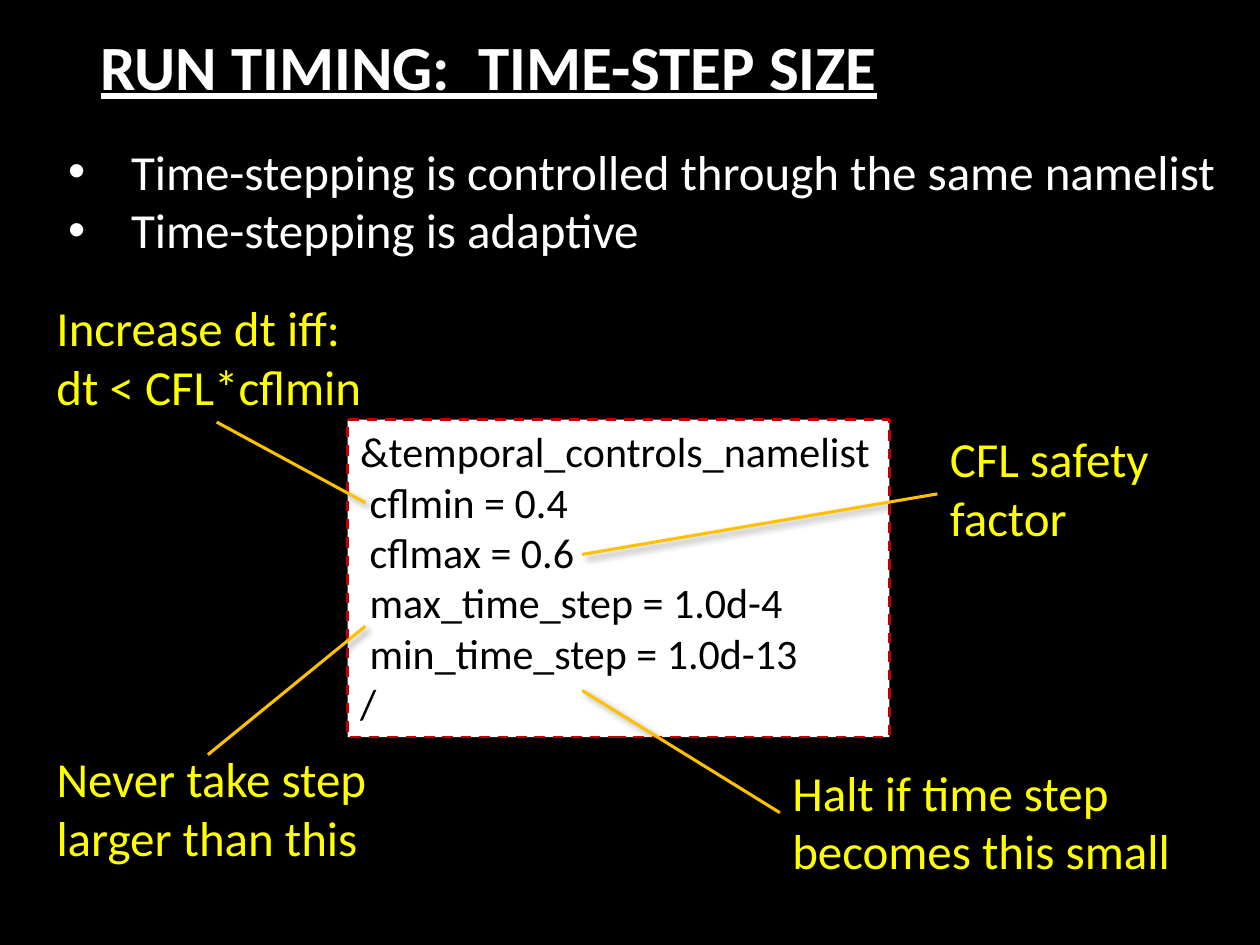
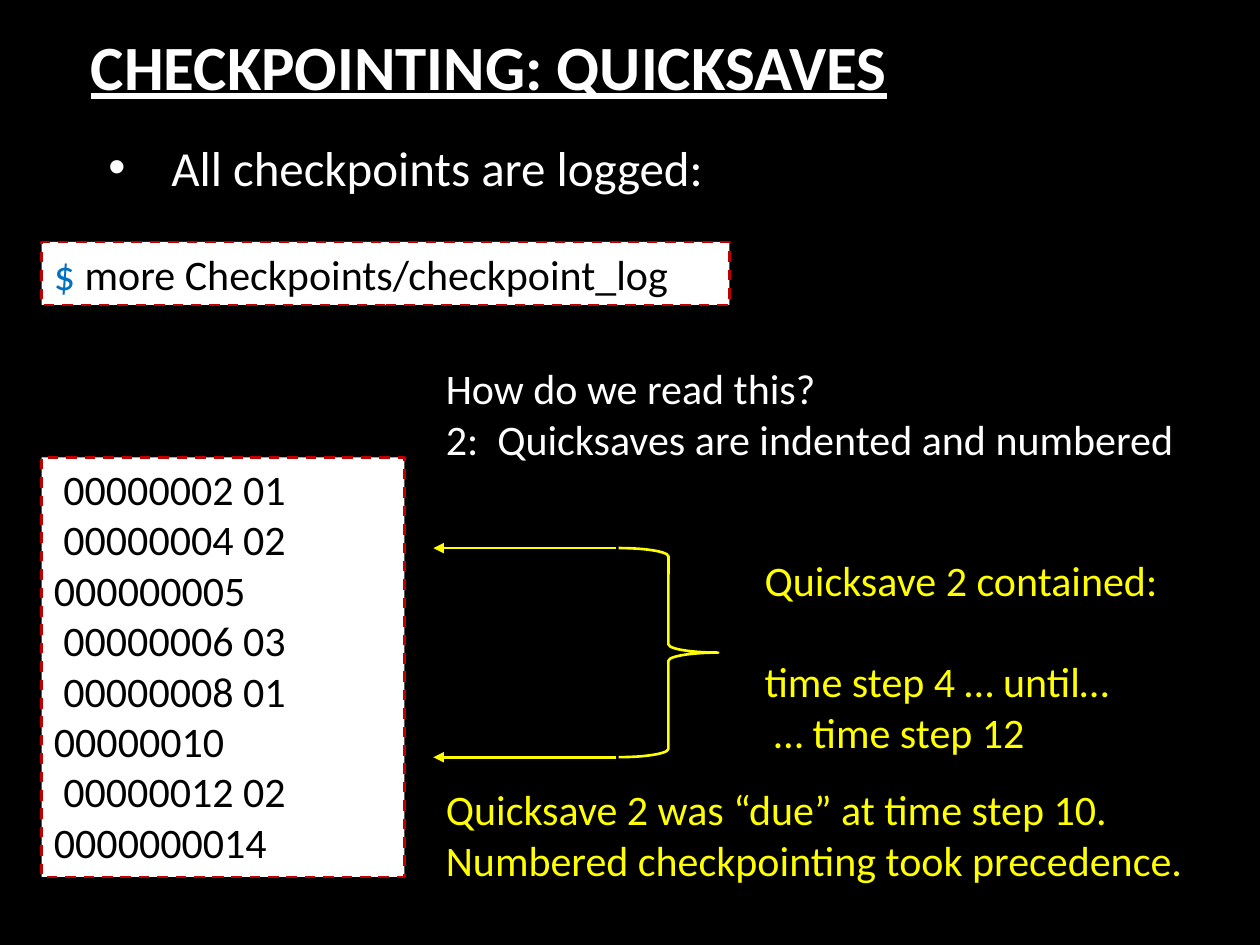
from dataclasses import dataclass

from lxml import etree
from pptx import Presentation
from pptx.dml.color import RGBColor
from pptx.enum.dml import MSO_LINE
from pptx.enum.shapes import MSO_CONNECTOR, MSO_SHAPE
from pptx.enum.text import MSO_ANCHOR, MSO_AUTO_SIZE, PP_ALIGN
from pptx.oxml.ns import qn
from pptx.util import Inches, Pt

RECT, RIGHT_BRACE = MSO_SHAPE.RECTANGLE, MSO_SHAPE.RIGHT_BRACE
STRAIGHT = MSO_CONNECTOR.STRAIGHT
DASH = MSO_LINE.DASH
TOP, MIDDLE = MSO_ANCHOR.TOP, MSO_ANCHOR.MIDDLE
LEFT, CENTER = PP_ALIGN.LEFT, PP_ALIGN.CENTER
FIT_SHAPE = MSO_AUTO_SIZE.SHAPE_TO_FIT_TEXT
TITLE_ONLY = 5

COLS, ROWS = 10, 7.5
CELL = Inches(1)


@dataclass(frozen=True)
class Theme:
    font: str = "Calibri"
    title_size: float = 36
    body_size: float = 28
    code_size: float = 24
    thin: float = 1.5
    thick: float = 1.75
    ground: RGBColor = RGBColor(0, 0, 0)
    text: RGBColor = RGBColor(255, 255, 255)
    code_fill: RGBColor = RGBColor(255, 255, 255)
    code_text: RGBColor = RGBColor(0, 0, 0)
    code_border: RGBColor = RGBColor(0xC0, 0, 0)
    prompt: RGBColor = RGBColor(0, 0x70, 0xC0)
    note: RGBColor = RGBColor(255, 255, 0)
    pointer: RGBColor = RGBColor(255, 0xC0, 0)


THEME = Theme()


def cells(*lengths):
    """Turn grid columns and rows into slide lengths."""
    return [round(n * CELL) for n in lengths]


def add_xml(parent, tag, **attrs):
    return etree.SubElement(parent, qn(tag), {k: str(v) for k, v in attrs.items()})


def style(p, size, color, align=LEFT):
    p.alignment = align
    p.font.name, p.font.size = THEME.font, Pt(size)
    p.font.color.rgb = color


def write(tf, lines, size, color):
    """Put one paragraph per line into the frame."""
    tf.auto_size, tf.vertical_anchor = FIT_SHAPE, TOP
    for i, line in enumerate(lines):
        p = tf.paragraphs[0] if i == 0 else tf.add_paragraph()
        p.add_run().text = line
        style(p, size, color)


def add_titled_slide(prs, title):
    s = prs.slides.add_slide(prs.slide_layouts[TITLE_ONLY])
    sp = s.shapes.title
    sp.left, sp.top, sp.width, sp.height = cells(-0.36, -0.28, 8.48, 1.59)
    tf = sp.text_frame
    tf.text, tf.vertical_anchor = title, MIDDLE
    p = tf.paragraphs[0]
    style(p, THEME.title_size, THEME.text, CENTER)
    p.font.bold = p.font.underline = True
    return s


def add_bullets(s, x, y, lines):
    tf = s.shapes.add_textbox(*cells(x, y, 9.33, 0.94)).text_frame
    tf.word_wrap = True
    tf.margin_left = tf.margin_top = tf.margin_right = tf.margin_bottom = 0
    write(tf, lines, THEME.body_size, THEME.text)
    for p in tf.paragraphs:
        pPr = p._p.get_or_add_pPr()
        pPr.set("marL", str(CELL // 2))
        pPr.set("indent", str(-CELL // 2))
        marker = etree.Element(qn("a:buFont"), typeface="Arial")
        pPr.insert(0, marker)
        marker.addnext(etree.Element(qn("a:buChar"), char="•"))


def add_note(s, box, lines, size=THEME.body_size, color=THEME.note):
    tf = s.shapes.add_textbox(*cells(*box)).text_frame
    tf.word_wrap = False
    write(tf, lines, size, color)
    return tf


def add_code(s, box, lines):
    sp = s.shapes.add_shape(RECT, *cells(*box))
    sp.shadow.inherit = False
    sp.fill.solid()
    sp.fill.fore_color.rgb = THEME.code_fill
    sp.line.color.rgb = THEME.code_border
    sp.line.width, sp.line.dash_style = Pt(THEME.thin), DASH
    sp.text_frame.word_wrap = True
    write(sp.text_frame, lines, THEME.code_size, THEME.code_text)
    return sp.text_frame


def add_line(s, start, end, color, width):
    """Draw a line and return it with its empty effect list."""
    cxn = s.shapes.add_connector(STRAIGHT, *cells(*start, *end))
    cxn.line.color.rgb, cxn.line.width = color, Pt(width)
    return cxn, add_xml(cxn._element.spPr, "a:effectLst")


def add_pointer(s, start, end):
    """Draw a line with a soft shadow from a note to a code line."""
    _, effects = add_line(s, start, end, THEME.pointer, THEME.thick)
    shadow = add_xml(effects, "a:outerShdw", blurRad=Pt(4), dist=Pt(3),
                     dir=45 * 60000, rotWithShape=0)
    add_xml(add_xml(shadow, "a:srgbClr", val="000000"), "a:alpha", val=40000)


def add_arrow(s, start, end):
    cxn, _ = add_line(s, start, end, THEME.note, THEME.thin)
    add_xml(cxn.line._get_or_add_ln(), "a:tailEnd", type="triangle")


def add_brace(s, box):
    sp = s.shapes.add_shape(RIGHT_BRACE, *cells(*box))
    sp.shadow.inherit = False
    sp.fill.background()
    sp.line.color.rgb, sp.line.width = THEME.note, Pt(THEME.thin)


def build_time_step(prs):
    s = add_titled_slide(prs, "RUN TIMING:  TIME-STEP SIZE")
    add_bullets(s, 0.54, 1.12, [
        "Time-stepping is controlled through the same namelist",
        "Time-stepping is adaptive"])
    add_code(s, (2.76, 3.33, 4.3, 2.52), [
        "&temporal_controls_namelist", " cflmin = 0.4", " cflmax = 0.6",
        " max_time_step = 1.0d-4", " min_time_step = 1.0d-13", "/"])

    note_height = 1.04
    code_left, code_mid = 2.9, 4.62
    notes = [
        (6.19, 6, 3.23, ["Halt if time step", "becomes this small"],
         (6.19, 6.45), (code_mid, 5.48)),
        (0.35, 5.89, 2.78, ["Never take step", "larger than this"],
         (1.65, 5.99), (code_left, 4.97)),
        (7.44, 3.35, 1.88, ["CFL safety", "factor"],
         (7.44, 3.92), (code_mid, 4.4)),
        (0.35, 2.31, 2.74, ["Increase dt iff:", "dt < CFL*cflmin"],
         (1.72, 3.35), (code_left, 3.99)),
    ]
    for x, y, width, lines, start, end in notes:
        add_note(s, (x, y, width, note_height), lines)
        add_pointer(s, start, end)


def build_quicksaves(prs):
    s = add_titled_slide(prs, "CHECKPOINTING: QUICKSAVES")
    add_bullets(s, 0.86, 1.09, ["All checkpoints are logged:"])

    code_left, note_left = 0.33, 3.44
    command = add_code(s, (code_left, 1.92, 5.46, 0.5), ["$"]).paragraphs[0]
    command.runs[0].font.color.rgb = THEME.prompt
    command.add_run().text = " more Checkpoints/checkpoint_log"
    add_code(s, (code_left, 3.63, 2.88, 3.33), [
        " 00000002 01", " 00000004 02", "000000005", " 00000006 03",
        " 00000008 01", "00000010", " 00000012 02", "0000000014"])

    add_note(s, (note_left, 2.83, 6.03, 0.91), [
        "How do we read this?", "2:  Quicksaves are indented and numbered"],
        THEME.code_size, THEME.text)

    first_row, last_row = 4.35, 6.01
    for row in (first_row, last_row):
        add_arrow(s, (4.89, row), (note_left, row))
    add_brace(s, (4.91, first_row, 0.79, last_row - first_row))

    span = add_note(s, (5.97, first_row, 3.35, 1.72), [
        "Quicksave 2 contained:", "time step 4 … until…", " … time step 12"],
        THEME.code_size)
    span.paragraphs[1].space_before = Pt(1.22 * THEME.code_size)
    add_note(s, (note_left, 6.17, 6.11, 0.91), [
        "Quicksave 2 was “due” at time step 10.",
        "Numbered checkpointing took precedence."], THEME.code_size)


def main():
    prs = Presentation()
    prs.slide_width, prs.slide_height = cells(COLS, ROWS)
    ground = prs.slide_master.background.fill
    ground.solid()
    ground.fore_color.rgb = THEME.ground
    build_time_step(prs)
    build_quicksaves(prs)
    prs.save("out.pptx")


if __name__ == "__main__":
    main()
